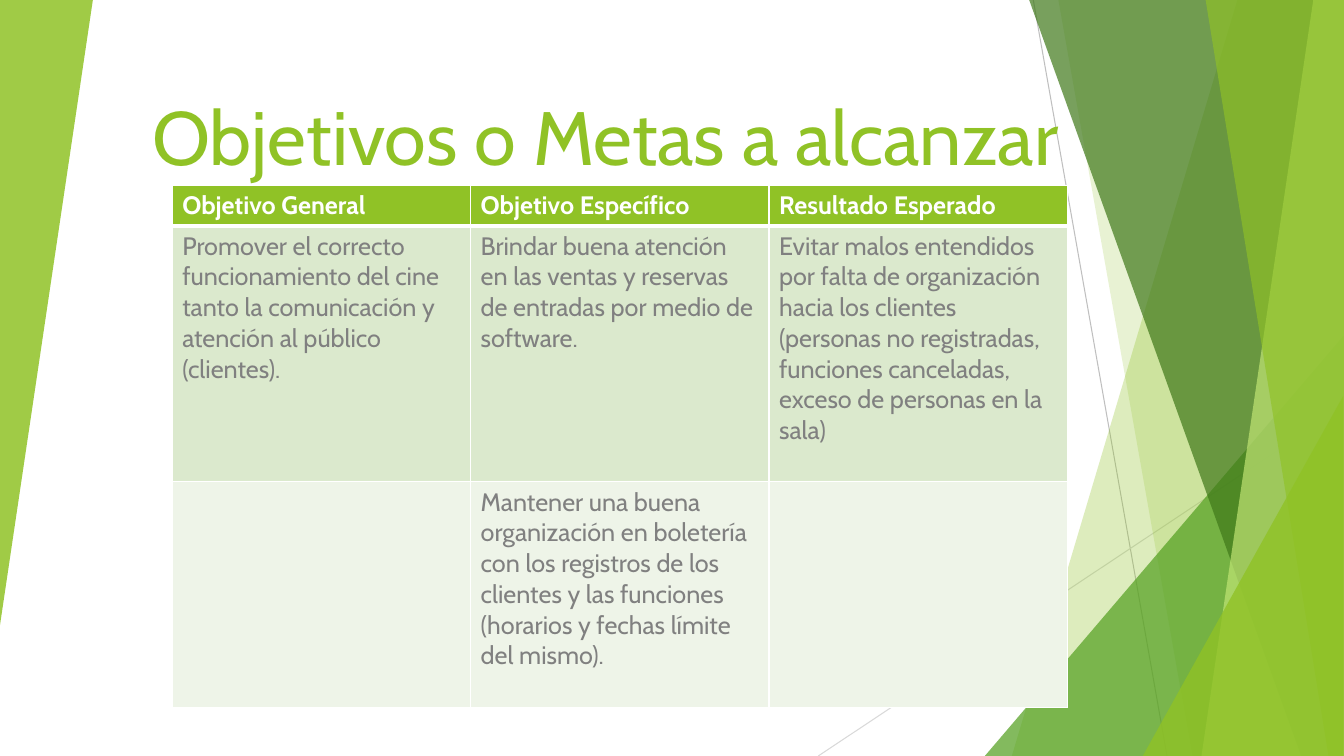
from dataclasses import dataclass

from lxml.etree import SubElement
from pptx import Presentation
from pptx.dml.color import RGBColor
from pptx.enum.shapes import MSO_CONNECTOR, MSO_SHAPE
from pptx.enum.text import MSO_ANCHOR, PP_ALIGN
from pptx.oxml import parse_xml
from pptx.oxml.ns import nsdecls, qn
from pptx.util import Cm, Pt

FONT = "Cabin"
LIME = RGBColor(0x90, 0xC2, 0x26)
PALE_LIME = RGBColor(0xC0, 0xE4, 0x74)
GREEN = RGBColor(0x54, 0xA0, 0x21)
DARK_GREEN = RGBColor(0x3F, 0x78, 0x19)
GREY = RGBColor(0x80, 0x80, 0x80)
LINE_GREY = RGBColor(0xBF, 0xBF, 0xBF)
LIGHT_GREY = RGBColor(0xD9, 0xD9, 0xD9)
WHITE = RGBColor(0xFF, 0xFF, 0xFF)
ROW_DARK = RGBColor(0xDB, 0xE9, 0xCD)
ROW_LIGHT = RGBColor(0xEE, 0xF4, 0xE8)

WIDTH, HEIGHT, TOP = 33.87, 19.05, -0.02


@dataclass
class Ray:
    start: tuple[float, float]
    end: tuple[float, float]
    color: RGBColor


@dataclass
class Band:
    """Area from a slanted left edge to the right edge of the slide."""
    top_x: float
    bottom_x: float
    color: RGBColor
    opacity: int


@dataclass
class Corner:
    left: float
    top: float
    width: float
    height: float
    color: RGBColor
    opacity: int
    rotation: int = 0


@dataclass
class Row:
    height: float
    fill: RGBColor
    color: RGBColor
    bold: bool
    top_line: float
    bottom_line: float
    texts: tuple[str, str, str]


DECOR = [
    Ray((26.04, 0), (29.41, HEIGHT), LINE_GREY),
    Ray((WIDTH, 10.24), (20.62, HEIGHT), LIGHT_GREY),
    Band(31.19, 25.5, LIME, 30),
    Band(26.67, 30.05, LIME, 20),
    Corner(24.82, 8.46, 9.04, 10.59, GREEN, 72),
    Band(25.93, 32.79, DARK_GREEN, 70),
    Band(33.1, 30.28, PALE_LIME, 70),
    Band(30.38, 33.48, LIME, 65),
    Corner(28.8, 9.98, 5.05, 9.07, LIME, 80),
    Corner(0, 0, 2.34, 15.75, LIME, 85, 180),
]

ROWS = [
    Row(1.02, LIME, WHITE, True, 1, 3,
        ("Objetivo General", "Objetivo Específico", "Resultado Esperado")),
    Row(6.45, ROW_DARK, GREY, False, 3, 1, (
        "Promover el correcto funcionamiento del cine tanto la comunicación "
        "y atención al público (clientes).",
        "Brindar buena atención en las ventas y reservas de entradas por "
        "medio de software.",
        "Evitar malos entendidos por falta de organización hacia los clientes "
        "(personas no registradas, funciones canceladas, exceso de personas "
        "en la sala)")),
    Row(5.68, ROW_LIGHT, GREY, False, 1, 1, (
        "",
        "Mantener una buena organización en boletería con los registros de "
        "los clientes y las funciones (horarios y fechas límite del mismo).",
        "")),
]


def paint(sp, color: RGBColor, opacity: int) -> None:
    sp.shadow.inherit = False
    sp.fill.solid()
    sp.fill.fore_color.rgb = color
    sp.line.fill.background()
    clr = sp._element.spPr.find(qn("a:solidFill")).find(qn("a:srgbClr"))
    SubElement(clr, qn("a:alpha")).set("val", str(opacity * 1000))


def add_ray(s, ray: Ray) -> None:
    sp = s.shapes.add_connector(MSO_CONNECTOR.STRAIGHT,
                                *map(Cm, ray.start + ray.end))
    sp.line.color.rgb = ray.color
    sp.line.width = Pt(0.75)
    SubElement(sp._element.spPr, qn("a:effectLst"))


def add_band(s, band: Band) -> None:
    builder = s.shapes.build_freeform(Cm(band.top_x), Cm(TOP))
    corners = [(WIDTH, TOP), (WIDTH, HEIGHT), (band.bottom_x, HEIGHT)]
    builder.add_line_segments([(Cm(x), Cm(y)) for x, y in corners], close=True)
    paint(builder.convert_to_shape(), band.color, band.opacity)


def add_corner(s, corner: Corner) -> None:
    sp = s.shapes.add_shape(MSO_SHAPE.ISOSCELES_TRIANGLE, Cm(corner.left),
                            Cm(corner.top), Cm(corner.width), Cm(corner.height))
    sp.adjustments[0] = 1
    sp.rotation = corner.rotation
    paint(sp, corner.color, corner.opacity)


def add_text(p, text: str, size: float, color: RGBColor, bold: bool) -> None:
    r = p.add_run()
    r.text = text
    r.font.name = FONT
    r.font.size = Pt(size)
    r.font.bold = bold
    r.font.color.rgb = color


def add_title(s, text: str) -> None:
    tf = s.shapes.add_textbox(Cm(1.04), Cm(1.68), Cm(25.88), Cm(3)).text_frame
    tf.word_wrap = True
    tf.vertical_anchor = MSO_ANCHOR.BOTTOM
    p = tf.paragraphs[0]
    p.alignment = PP_ALIGN.RIGHT
    add_text(p, text, 54, LIME, False)


def set_borders(cell, row: Row) -> None:
    tc_pr = cell._tc.get_or_add_tcPr()
    widths = {"lnL": 1, "lnR": 1, "lnT": row.top_line, "lnB": row.bottom_line}
    for i, (tag, width) in enumerate(widths.items()):
        tc_pr.insert(i, parse_xml(
            f'<a:{tag} {nsdecls("a")} w="{Pt(width)}"><a:solidFill>'
            f'<a:srgbClr val="{WHITE}"/></a:solidFill></a:{tag}>'))


def add_goals_table(s, rows: list[Row]) -> None:
    columns = len(rows[0].texts)
    table = s.shapes.add_table(len(rows), columns, Cm(4.34), Cm(4.67),
                               Cm(7.52 * columns),
                               Cm(sum(row.height for row in rows))).table
    for i, row in enumerate(rows):
        table.rows[i].height = Cm(row.height)
        for j, text in enumerate(row.texts):
            cell = table.cell(i, j)
            cell.fill.solid()
            cell.fill.fore_color.rgb = row.fill
            set_borders(cell, row)
            if text:
                add_text(cell.text_frame.paragraphs[0], text, 18,
                         row.color, row.bold)


def main() -> None:
    prs = Presentation()
    prs.slide_width, prs.slide_height = Cm(WIDTH), Cm(HEIGHT)
    s = prs.slides.add_slide(prs.slide_layouts[6])

    # Background facets, back to front
    draw = {Ray: add_ray, Band: add_band, Corner: add_corner}
    for part in DECOR:
        draw[type(part)](s, part)

    # Title and table
    add_title(s, "Objetivos o Metas a alcanzar")
    add_goals_table(s, ROWS)

    prs.save("out.pptx")


if __name__ == "__main__":
    main()
